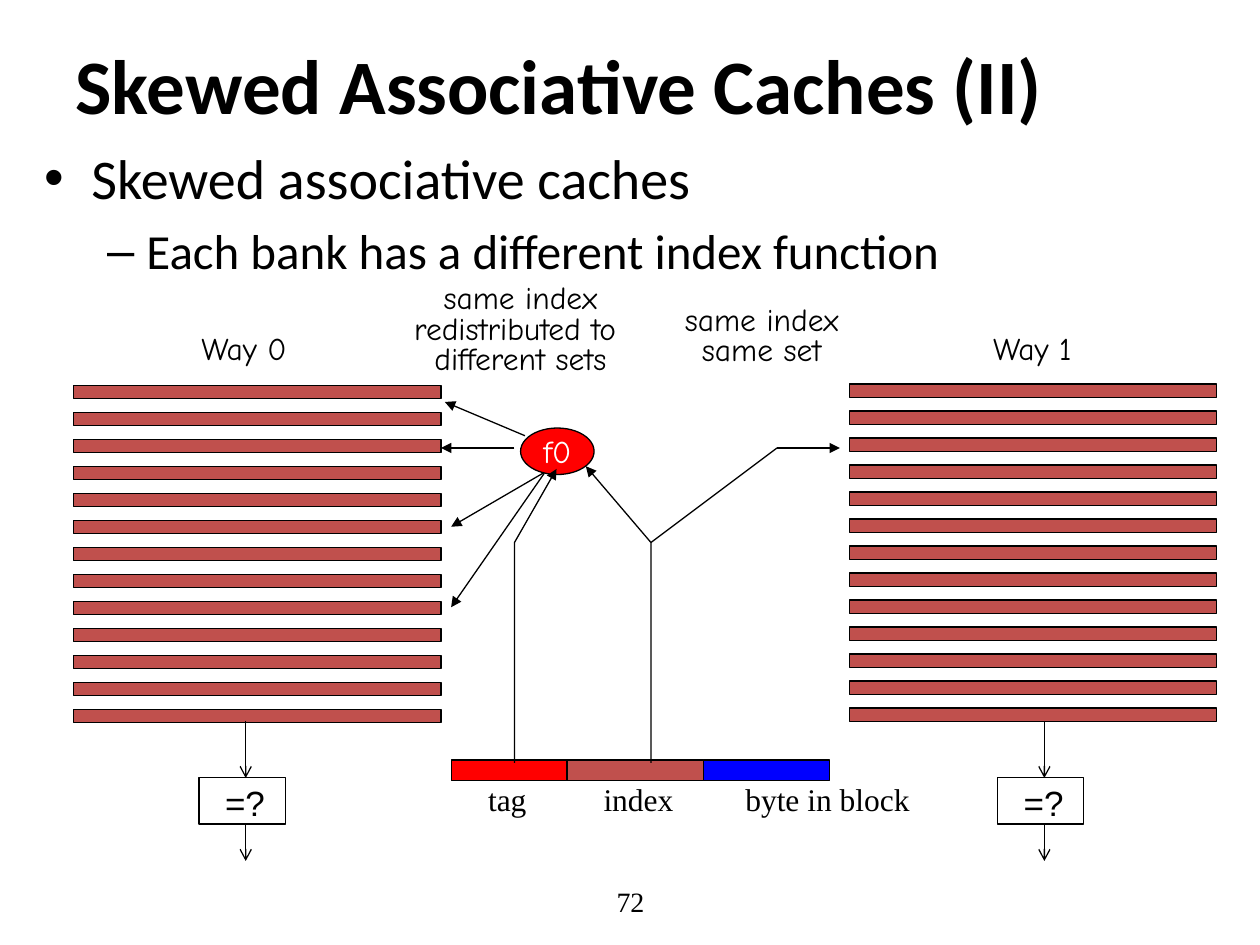
from lxml.etree import SubElement
from pptx import Presentation
from pptx.dml.color import RGBColor
from pptx.enum.shapes import MSO_CONNECTOR, MSO_SHAPE
from pptx.enum.text import MSO_ANCHOR, MSO_AUTO_SIZE, PP_ALIGN
from pptx.oxml.ns import qn
from pptx.util import Pt

BLACK, WHITE, RED, BRICK, BLUE = "000000", "FFFFFF", "FF0000", "C0504D", "0000FF"
HAND, SERIF, SANS, HEADING = "Comic Neue", "Times New Roman", "Arial", "Calibri"
LINE_WIDTH = 0.75
ROW_COUNT, ROW_PITCH, ROW_WIDTH, ROW_HEIGHT = 13, 15.43, 210, 7.7


def color(hex_value):
    return RGBColor.from_string(hex_value)


def place(shape, left, top, width, height):
    frame = {"left": left, "top": top, "width": width, "height": height}
    for name, value in frame.items():
        setattr(shape, name, Pt(value))


def format_font(para, face, size, hex_value=BLACK, bold=False):
    for name, value in {"name": face, "size": Pt(size), "bold": bold}.items():
        setattr(para.font, name, value)
    para.font.color.rgb = color(hex_value)


def outline(shape):
    shape.line.color.rgb = color(BLACK)
    shape.line.width = Pt(LINE_WIDTH)


def add_head(line, kind):
    SubElement(line.line._get_or_add_ln(), qn("a:tailEnd"), type=kind)


def fill_placeholder(holder, frame, items, size_by_level, bold=False):
    """Write (text, level) items into a moved title or body placeholder."""
    place(holder, *frame)
    text_frame = holder.text_frame
    text_frame.auto_size = MSO_AUTO_SIZE.NONE
    text_frame.text = "\n".join(text for text, _ in items)
    for para, (_, level) in zip(text_frame.paragraphs, items):
        para.level = level
        para.alignment = PP_ALIGN.LEFT
        format_font(para, HEADING, size_by_level[level], bold=bold)
    text_frame.paragraphs[0].space_before = Pt(0)


def add_label(page, frame, text, face, size, align=PP_ALIGN.CENTER,
              anchor=MSO_ANCHOR.TOP, wrap=False, spacing=None, tabs=()):
    box = page.shapes.add_textbox(*map(Pt, frame))
    text_frame = box.text_frame
    text_frame.word_wrap = wrap
    text_frame.vertical_anchor = anchor
    text_frame.text = text
    for para in text_frame.paragraphs:
        para.alignment = align
        if spacing:
            para.line_spacing = spacing
        if tabs:
            tab_list = SubElement(para._p.get_or_add_pPr(), qn("a:tabLst"))
            for position in tabs:
                SubElement(tab_list, qn("a:tab"), pos=str(Pt(position)), algn="l")
        format_font(para, face, size)


def add_block(shapes, frame, fill=None, kind=MSO_SHAPE.RECTANGLE):
    block = shapes.add_shape(kind, *map(Pt, frame))
    block.shadow.inherit = False
    if fill:
        block.fill.solid()
        block.fill.fore_color.rgb = color(fill)
    else:
        block.fill.background()
    outline(block)
    return block


def add_line(page, start, end, head=None):
    line = page.shapes.add_connector(MSO_CONNECTOR.STRAIGHT, *map(Pt, start + end))
    outline(line)
    SubElement(line._element.spPr, qn("a:effectLst"))
    if head:
        add_head(line, head)


def add_bent_arrow(page, points):
    (start_x, start_y), *corners = [(Pt(x), Pt(y)) for x, y in points]
    builder = page.shapes.build_freeform(start_x, start_y, scale=1.0)
    builder.add_line_segments(corners, close=False)
    arrow = builder.convert_to_shape()
    arrow.shadow.inherit = False
    arrow.fill.background()
    outline(arrow)
    add_head(arrow, "triangle")


def add_way(page, left, top):
    """Draw one cache bank as a group of rows."""
    bank = page.shapes.add_group_shape()
    for row in range(ROW_COUNT):
        add_block(bank.shapes, (left, top + row * ROW_PITCH, ROW_WIDTH, ROW_HEIGHT), BRICK)


def add_comparator(page, left):
    center = left + 26.6
    add_block(page.shapes, (left, 444.4, 49.2, 26.6))
    add_label(page, (left + 7.7, 442.8, 37.4, 31.7), "=?", SANS, 20, PP_ALIGN.LEFT)
    add_line(page, (center, 412), (center, 444.6), "arrow")
    add_line(page, (center, 471.4), (center, 492), "arrow")


def add_address(page):
    left = 258
    for width, fill in ((66, RED), (78, BRICK), (72, BLUE)):
        add_block(page.shapes, (left, 434.2, width, 12), fill)
        left += width
    add_label(page, (257.8, 442, 275.8, 28.8), "\ttag\tindex\tbyte in block",
              SERIF, 18, PP_ALIGN.LEFT, wrap=True, tabs=(14, 80, 161))


def add_index_function(page):
    node = add_block(page.shapes, (297.5, 244.6, 42, 26.6), RED, MSO_SHAPE.OVAL)
    node.text_frame.word_wrap = False
    node.text_frame.vertical_anchor = MSO_ANCHOR.MIDDLE
    node.text_frame.text = "f0"
    para = node.text_frame.paragraphs[0]
    para.alignment = PP_ALIGN.CENTER
    format_font(para, HAND, 18, WHITE)

    for start, end in (
        ((311, 270), (257.8, 301)),
        ((300, 249), (254.2, 229.7)),
        ((311, 270.5), (257.8, 347)),
        ((294, 256), (252, 256)),
    ):
        add_line(page, start, end, "triangle")

    fork = (372, 310)
    add_bent_arrow(page, [(294, 436), (294, 310), (318, 268)])
    add_bent_arrow(page, [(372, 436), fork, (334.8, 266.4)])
    add_line(page, fork, (444, 256))
    add_line(page, (444, 256), (480, 256), "triangle")


def main():
    deck = Presentation()
    deck.slide_width, deck.slide_height = Pt(720), Pt(540)
    page = deck.slides.add_slide(deck.slide_layouts[1])

    fill_placeholder(page.shapes.title, (36, 3, 648, 90),
                     [("Skewed Associative Caches (II)", 0)], (44,), bold=True)
    fill_placeholder(page.placeholders[1], (18, 78.5, 678, 409),
                     [("Skewed associative caches", 0),
                      ("Each bank has a different index function", 1)], (32, 28))

    add_address(page)
    add_index_function(page)
    for name, name_left, bank_left, bank_top, comparator_left in (
        ("Way 0", 106, 42, 220.2, 113.8),
        ("Way 1", 556.5, 485.3, 219.4, 570.2),
    ):
        add_label(page, (name_left, 184.3, 67, 28.8), name, HAND, 18,
                  anchor=MSO_ANCHOR.MIDDLE)
        add_way(page, bank_left, bank_top)
        add_comparator(page, comparator_left)

    add_label(page, (218.2, 159.8, 158.4, 59.8),
              "same index\nredistributed to \ndifferent sets", HAND, 18, spacing=0.8)
    add_label(page, (381.6, 172, 107.3, 41.8), "same index\nsame set",
              HAND, 18, spacing=0.8)
    add_label(page, (246.2, 500.4, 228.2, 28.8), "72", SERIF, 16,
              anchor=MSO_ANCHOR.MIDDLE, wrap=True)

    deck.save("out.pptx")


if __name__ == "__main__":
    main()
